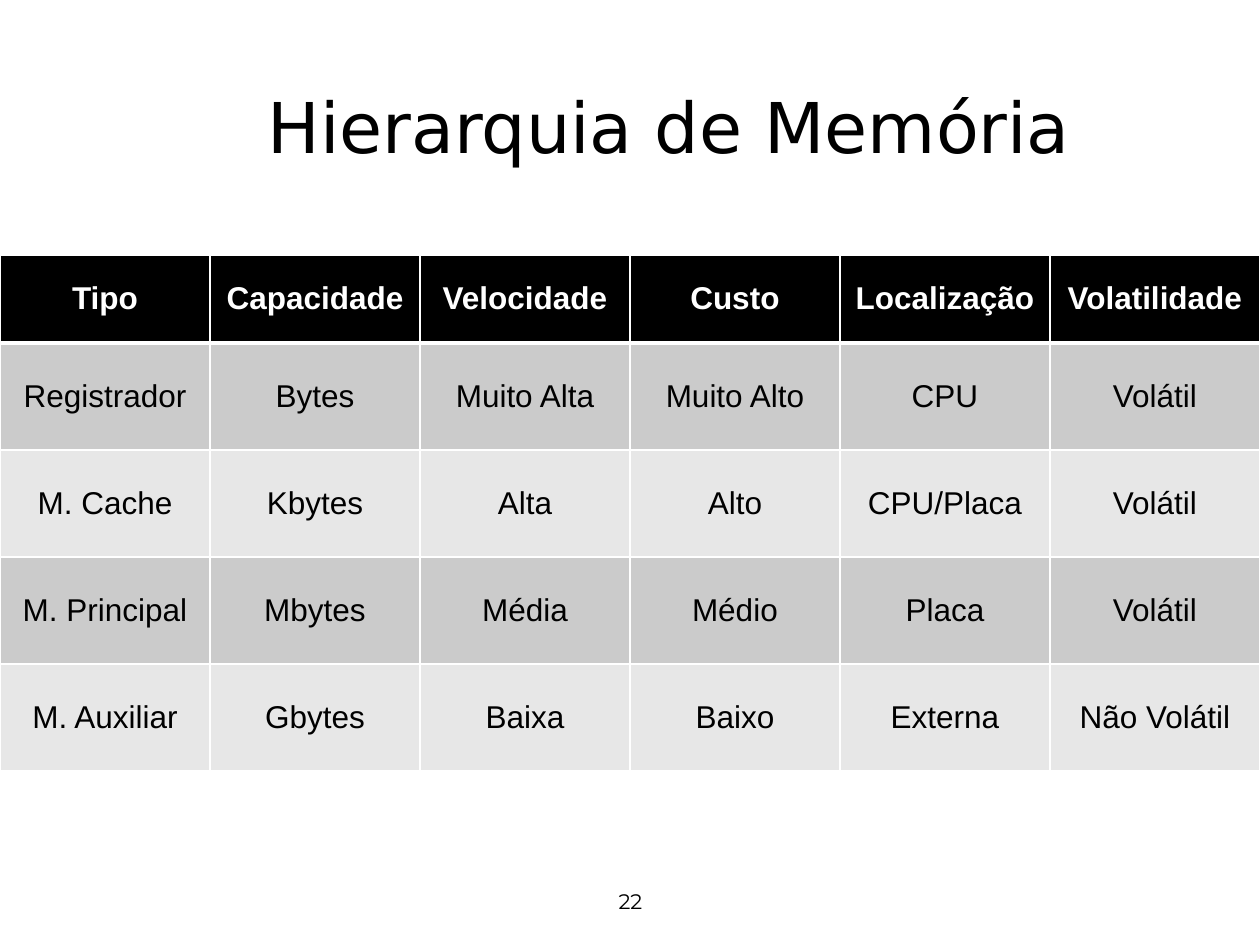
from lxml import etree
from pptx import Presentation
from pptx.dml.color import RGBColor
from pptx.enum.text import MSO_ANCHOR, PP_ALIGN
from pptx.oxml.ns import qn
from pptx.util import Pt

CENTER = PP_ALIGN.CENTER
MIDDLE = MSO_ANCHOR.MIDDLE
PX = 914400 // 126

# Content
TITLE = "Hierarquia de Memória"
PAGE_NUMBER = "22"
HEADINGS = ["Tipo", "Capacidade", "Velocidade", "Custo", "Localização", "Volatilidade"]
MEMORIES = [
    ["Registrador", "Bytes", "Muito Alta", "Muito Alto", "CPU", "Volátil"],
    ["M. Cache", "Kbytes", "Alta", "Alto", "CPU/Placa", "Volátil"],
    ["M. Principal", "Mbytes", "Média", "Médio", "Placa", "Volátil"],
    ["M. Auxiliar", "Gbytes", "Baixa", "Baixo", "Externa", "Não Volátil"],
]

# Layout in px and formats
SLIDE_W, SLIDE_H = 1260, 945
TITLE_BOX = (94, 77, 1150, 97)
NUMBER_BOX = (431, 876, 399, 50)
TABLE_TOP, HEADING_H, MEMORY_H = 255, 88, 107
TITLE_FONT = {"name": "DejaVu Sans", "size": Pt(40), "bold": False}
NUMBER_FONT = {"name": "Montserrat", "size": Pt(12), "bold": False}
HEADING_FONT = {"name": "Arial", "size": Pt(18), "bold": True}
MEMORY_FONT = {**HEADING_FONT, "bold": False}
BLACK, WHITE = "000000", "FFFFFF"
BANDS = ["CBCBCB", "E7E7E7"]
THIN, THICK = Pt(1), Pt(3)


def rgb(color):
    return RGBColor.from_string(color)


def px(*lengths):
    return [length * PX for length in lengths]


def write(frame, wording, font, color):
    frame.text = wording
    frame.word_wrap = True
    frame.vertical_anchor = MIDDLE
    paragraph = frame.paragraphs[0]
    paragraph.alignment = CENTER
    run_font = paragraph.runs[0].font
    for key, setting in font.items():
        setattr(run_font, key, setting)
    run_font.color.rgb = rgb(color)


def add_borders(cell, widths):
    properties = cell._tc.get_or_add_tcPr()
    for position, (side, width) in enumerate(widths.items()):
        line = etree.Element(qn(f"a:{side}"), w=str(width))
        fill = etree.SubElement(line, qn("a:solidFill"))
        etree.SubElement(fill, qn("a:srgbClr"), val=WHITE)
        properties.insert(position, line)


presentation = Presentation()
presentation.slide_width, presentation.slide_height = px(SLIDE_W, SLIDE_H)
slide = presentation.slides.add_slide(presentation.slide_layouts[5])

# Title
title = slide.shapes.title
title.left, title.top, title.width, title.height = px(*TITLE_BOX)
write(title.text_frame, TITLE, TITLE_FONT, BLACK)

# Memory table
rows = [HEADINGS] + MEMORIES
heights = [HEADING_H] + [MEMORY_H] * len(MEMORIES)
table = slide.shapes.add_table(
    len(rows), len(HEADINGS), *px(0, TABLE_TOP, SLIDE_W, sum(heights))
).table
for column in table.columns:
    column.width = SLIDE_W // len(HEADINGS) * PX
for r, (entries, height) in enumerate(zip(rows, heights)):
    table.rows[r].height = height * PX
    is_heading = r == 0
    font, color, band = (
        (HEADING_FONT, WHITE, BLACK) if is_heading
        else (MEMORY_FONT, BLACK, BANDS[(r - 1) % 2])
    )
    borders = {"lnL": THIN, "lnR": THIN,
               "lnT": THICK if r == 1 else THIN,
               "lnB": THICK if is_heading else THIN}
    for c, entry in enumerate(entries):
        cell = table.cell(r, c)
        write(cell.text_frame, entry, font, color)
        cell.vertical_anchor = MIDDLE
        cell.fill.solid()
        cell.fill.fore_color.rgb = rgb(band)
        add_borders(cell, borders)

# Page number
number = slide.shapes.add_textbox(*px(*NUMBER_BOX))
write(number.text_frame, PAGE_NUMBER, NUMBER_FONT, BLACK)

presentation.save("out.pptx")
